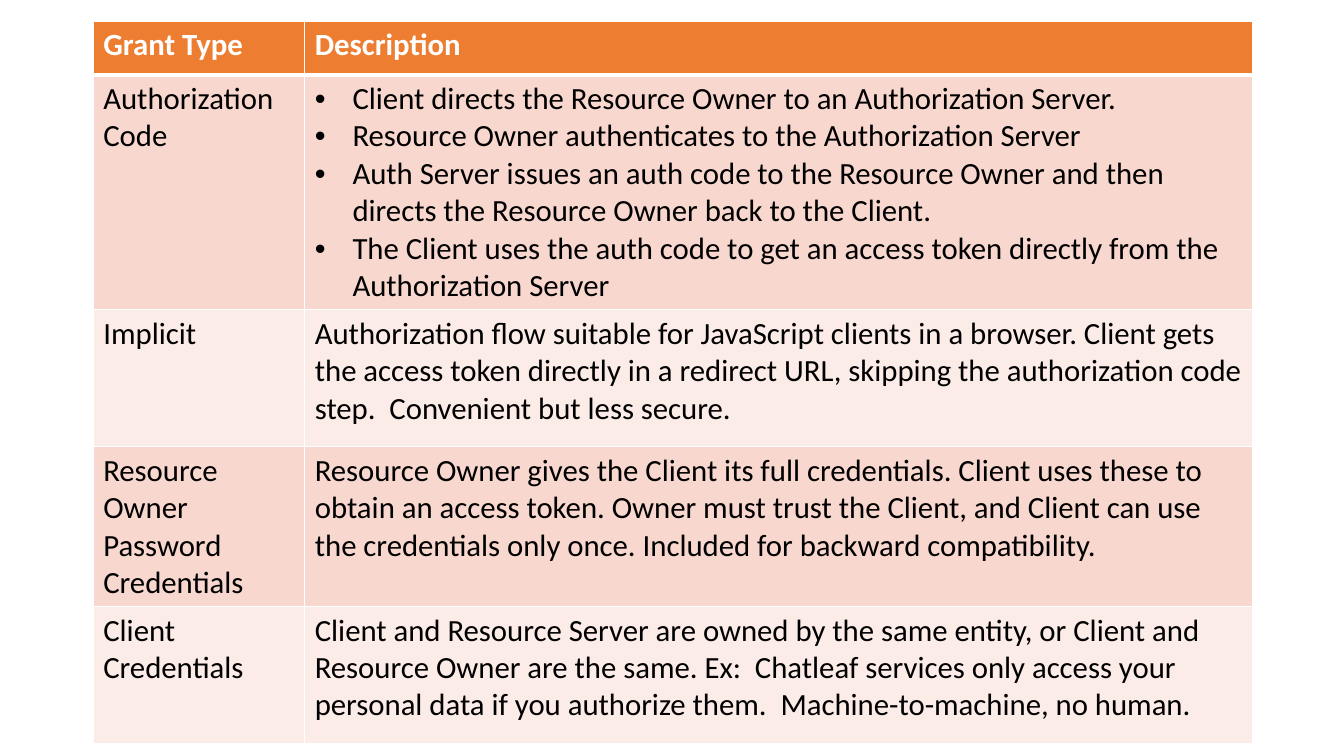
from lxml import etree
from pptx import Presentation
from pptx.dml.color import RGBColor
from pptx.oxml import ns
from pptx.util import Cm, Pt

# Content: a list in the second column becomes bullets
HEADER = ("Grant Type", "Description")
GRANTS = [
    ("Authorization Code", [
        "Client directs the Resource Owner to an Authorization Server.",
        "Resource Owner authenticates to the Authorization Server",
        "Auth Server issues an auth code to the Resource Owner and then "
        "directs the Resource Owner back to the Client.",
        "The Client uses the auth code to get an access token directly from "
        "the Authorization Server",
    ]),
    ("Implicit",
     "Authorization flow suitable for JavaScript clients in a browser. Client "
     "gets the access token directly in a redirect URL, skipping the "
     "authorization code step.  Convenient but less secure."),
    ("Resource Owner Password Credentials",
     "Resource Owner gives the Client its full credentials. Client uses these "
     "to obtain an access token. Owner must trust the Client, and Client can "
     "use the credentials only once. Included for backward compatibility."),
    ("Client Credentials",
     "Client and Resource Server are owned by the same entity, or Client and "
     "Resource Owner are the same. Ex:  Chatleaf services only access your "
     "personal data if you authorize them.  Machine-to-machine, no human."),
]

# Format
COLORS = {"header": "ED7D31", "odd": "F8D7CE", "even": "FCECE8",
          "light": "FFFFFF", "dark": "000000"}
FONT = {"name": "Calibri", "size": Pt(22)}
COL_WIDTHS = [Cm(5.33), Cm(23.88)]
ROW_HEIGHTS = [Cm(1.35), Cm(4.5)] + [Cm(3.45)] * 3
INDENT = Cm(0.95)


def rgb(key):
    return RGBColor.from_string(COLORS[key])


def add_bullet(p):
    pPr = p._p.get_or_add_pPr()
    pPr.set("marL", str(INDENT))
    pPr.set("indent", str(-INDENT))
    etree.SubElement(pPr, ns.qn("a:buFont")).set("typeface", "Arial")
    etree.SubElement(pPr, ns.qn("a:buChar")).set("char", "•")


def set_borders(cell, widths):
    tcPr = cell._tc.get_or_add_tcPr()
    for i, (side, width) in enumerate(widths.items()):
        ln = etree.Element(ns.qn("a:ln" + side), w=str(Pt(width)))
        fill = etree.SubElement(ln, ns.qn("a:solidFill"))
        etree.SubElement(fill, ns.qn("a:srgbClr")).set("val", COLORS["light"])
        tcPr.insert(i, ln)


def fill_cell(cell, content, row):
    is_header = row == 0
    cell.fill.solid()
    cell.fill.fore_color.rgb = rgb(
        "header" if is_header else "odd" if row % 2 else "even")
    set_borders(cell, {"L": 1, "R": 1, "T": 3 if row == 1 else 1,
                       "B": 3 if is_header else 1})
    bulleted = isinstance(content, list)
    lines = content if bulleted else [content]
    tf = cell.text_frame
    for i, line in enumerate(lines):
        p = tf.paragraphs[0] if i == 0 else tf.add_paragraph()
        if bulleted:
            add_bullet(p)
        r = p.add_run()
        r.text = line
        for name, value in {**FONT, "bold": is_header}.items():
            setattr(r.font, name, value)
        r.font.color.rgb = rgb("light" if is_header else "dark")


def main():
    prs = Presentation()
    prs.slide_width, prs.slide_height = Cm(33.87), Cm(19.05)
    s = prs.slides.add_slide(prs.slide_layouts[6])

    # Table of grant types
    rows = [HEADER] + GRANTS
    table = s.shapes.add_table(
        len(rows), len(HEADER), Cm(2.35), Cm(0.54),
        sum(COL_WIDTHS), sum(ROW_HEIGHTS)).table
    for col, width in zip(table.columns, COL_WIDTHS):
        col.width = width
    for row, height in zip(table.rows, ROW_HEIGHTS):
        row.height = height
    for i, row in enumerate(rows):
        for j, content in enumerate(row):
            fill_cell(table.cell(i, j), content, i)

    prs.save("out.pptx")


if __name__ == "__main__":
    main()
